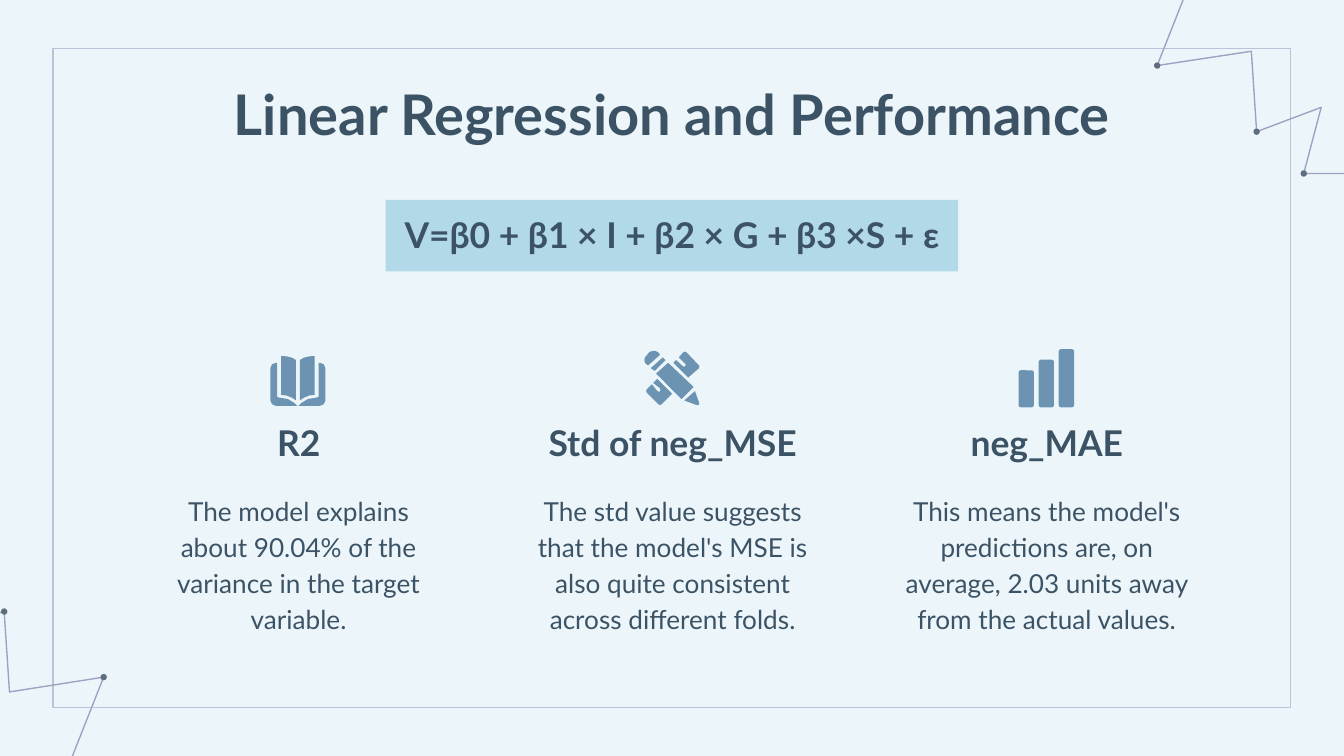
from dataclasses import dataclass

from pptx import Presentation
from pptx.dml.color import RGBColor
from pptx.enum.shapes import MSO_SHAPE as Preset
from pptx.enum.text import MSO_ANCHOR as Anchor, MSO_AUTO_SIZE as AutoSize, PP_ALIGN as Align
from pptx.util import Cm, Pt

BACKGROUND = RGBColor(0xEC, 0xF6, 0xFA)
FRAME = RGBColor(0xB9, 0xC4, 0xDA)
ZIGZAG = RGBColor(0x9D, 0xA2, 0xC2)
DOT = RGBColor(0x5F, 0x6E, 0x7F)
INK = RGBColor(0x3C, 0x53, 0x66)
FORMULA = RGBColor(0xB2, 0xD9, 0xE8)
ICON = RGBColor(0x6C, 0x94, 0xB2)

GRID = Cm(2.54) / 100
DOT_SIZE = 0.12
COLUMN_LEFT, COLUMN_STEP, COLUMN_WIDTH = 2.62, 7.07, 6.05
BAR_LEFT, BAR_STEP, BAR_WIDTH, BAR_BOTTOM = 19.25, 0.38, 0.29, 7.7
BAR_HEIGHTS = (0.7, 0.9, 1.1)

Points = list[tuple[float, float]]


@dataclass(frozen=True)
class Metric:
    heading: str
    explanation: str


METRICS = [
    Metric("R2", "The model explains about 90.04% of the variance in the target variable."),
    Metric("Std of neg_MSE", "The std value suggests that the model's MSE is also quite "
                             "consistent across different folds."),
    Metric("neg_MAE", "This means the model's predictions are, on average, 2.03 units away "
                      "from the actual values."),
]

TOP_ZIGZAG: Points = [(25.4, 3.28), (24.64, 3.28), (24.97, 2.03), (23.75, 2.49),
                      (23.65, 0.97), (21.87, 1.24), (22.36, 0)]
BOTTOM_ZIGZAG: Points = [(0, 11.58), (0.08, 11.56), (0.18, 13.08), (1.96, 12.8), (1.37, 14.29)]

BOOK_WIDTH = 41
BOOK_HALF: list[Points] = [
    [(8, 0), (8, 29), (12, 29.4), (16, 31), (19, 33), (19, 3), (16, 1.2), (12, 0.3)],
    [(4, 5), (1.2, 6.2), (0, 9), (0, 33), (1.2, 35.8), (4, 37), (20, 37), (18, 35),
     (13, 32), (7, 31), (5.4, 30.6), (5, 30), (5, 5)],
]
BOOK = BOOK_HALF + [[(BOOK_WIDTH - x, y) for x, y in part] for part in BOOK_HALF]

PENCIL_AND_RULER: list[Points] = [
    [(14, 5), (5, 13), (8, 15), (16, 7)],
    [(18, 9), (9, 17), (28, 36), (37, 27)],
    [(38, 30), (30, 37), (39.5, 40.5), (41, 40), (41, 38.5)],
    [(8, 0), (6, 0.3), (4, 1), (2, 3.5), (0.7, 5), (0.3, 7), (0.7, 9), (3, 11),
     (12, 3), (10.5, 1)],
    [(30.5, 0.7), (29.5, 1), (26, 5), (31, 10), (31, 11), (30, 12), (29, 11.5), (24, 7),
     (22, 9), (33, 20), (41, 13), (41.3, 12), (41, 11), (31.5, 1)],
    [(10, 21), (7, 24), (12, 28), (12.4, 29.5), (11.5, 30.7), (10, 30), (6, 25),
     (2, 29), (1.7, 30), (2, 31), (11, 40), (12, 40.4), (13, 40), (21, 32)],
]


def style(shape, fill: RGBColor | None = None, line: RGBColor | None = None) -> None:
    shape.shadow.inherit = False
    if fill is None:
        shape.fill.background()
    else:
        shape.fill.solid()
        shape.fill.fore_color.rgb = fill
    if line is None:
        shape.line.fill.background()
    else:
        shape.line.color.rgb = line
        shape.line.width = Pt(0.75)


def place(shape, left: float, top: float, width: float, height: float) -> None:
    shape.left, shape.top, shape.width, shape.height = map(Cm, (left, top, width, height))


def write(shape, text: str, *, size: float, bold: bool = False, anchor=Anchor.TOP,
          spacing: float = 1.0) -> None:
    frame = shape.text_frame
    frame.word_wrap = True
    frame.auto_size = AutoSize.NONE
    frame.vertical_anchor = anchor
    frame.margin_left = frame.margin_right = frame.margin_top = frame.margin_bottom = Cm(0.25)
    paragraph = frame.paragraphs[0]
    paragraph.alignment = Align.CENTER
    paragraph.line_spacing = spacing
    paragraph.space_before = Pt(0)
    run = paragraph.add_run()
    run.text = text
    run.font.name = "Lato"
    run.font.size = Pt(size)
    run.font.bold = bold
    run.font.color.rgb = INK


def add_preset(shapes, preset, left: float, top: float, width: float, height: float,
               fill: RGBColor | None = None, line: RGBColor | None = None):
    shape = shapes.add_shape(preset, Cm(left), Cm(top), Cm(width), Cm(height))
    style(shape, fill, line)
    return shape


def add_outline(shapes, points: Points, *, unit: float, left: float = 0, top: float = 0,
                close: bool = True):
    vertices = [(Cm(left) + x * unit, Cm(top) + y * unit) for x, y in points]
    builder = shapes.build_freeform(*vertices[0], scale=1.0)
    builder.add_line_segments(vertices[1:], close=close)
    return builder.convert_to_shape()


def draw_zigzag(shapes, vertices: Points) -> None:
    style(add_outline(shapes, vertices, unit=Cm(1), close=False), line=ZIGZAG)
    for x, y in vertices[1::2]:
        add_preset(shapes, Preset.OVAL, x - DOT_SIZE / 2, y - DOT_SIZE / 2,
                   DOT_SIZE, DOT_SIZE, fill=DOT)


def draw_icon(shapes, parts: list[Points], left: float, top: float) -> None:
    icon = shapes.add_group_shape().shapes
    for part in parts:
        style(add_outline(icon, part, unit=GRID, left=left, top=top), fill=ICON)


def draw_bars(shapes) -> None:
    icon = shapes.add_group_shape().shapes
    for index, height in enumerate(BAR_HEIGHTS):
        bar = add_preset(icon, Preset.ROUNDED_RECTANGLE, BAR_LEFT + index * BAR_STEP,
                         BAR_BOTTOM - height, BAR_WIDTH, height, fill=ICON)
        bar.adjustments[0] = 0.15


def draw_metric(shapes, metric: Metric, left: float) -> None:
    explanation = shapes.add_textbox(0, 0, 0, 0)
    place(explanation, left, 9.02, COLUMN_WIDTH, 2.82)
    write(explanation, metric.explanation, size=14, spacing=1.15)
    heading = shapes.add_textbox(0, 0, 0, 0)
    place(heading, left, 7.67, COLUMN_WIDTH, 1.35)
    write(heading, metric.heading, size=19, bold=True, anchor=Anchor.BOTTOM)


def main() -> None:
    presentation = Presentation()
    presentation.slide_width = Cm(25.4)
    presentation.slide_height = Cm(14.29)
    slide = presentation.slides.add_slide(presentation.slide_layouts[5])
    slide.background.fill.solid()
    slide.background.fill.fore_color.rgb = BACKGROUND
    shapes = slide.shapes

    add_preset(shapes, Preset.RECTANGLE, 1, 0.92, 23.39, 12.45, line=FRAME)
    for vertices in (BOTTOM_ZIGZAG, TOP_ZIGZAG):
        draw_zigzag(shapes, vertices)

    place(shapes.title, 2, 1.25, 21.4, 1.6)
    write(shapes.title, "Linear Regression and Performance", size=30, bold=True)

    formula = add_preset(shapes, Preset.RECTANGLE, 7.29, 3.78, 10.82, 1.35, fill=FORMULA)
    write(formula, "V=β0 + β1 × I + β2 × G + β3 ×S + ε", size=19, bold=True)

    for index, metric in enumerate(METRICS):
        draw_metric(shapes, metric, COLUMN_LEFT + index * COLUMN_STEP)

    draw_icon(shapes, PENCIL_AND_RULER, 12.17, 6.63)
    draw_icon(shapes, BOOK, 5.11, 6.73)
    draw_bars(shapes)

    presentation.save("out.pptx")


if __name__ == "__main__":
    main()
